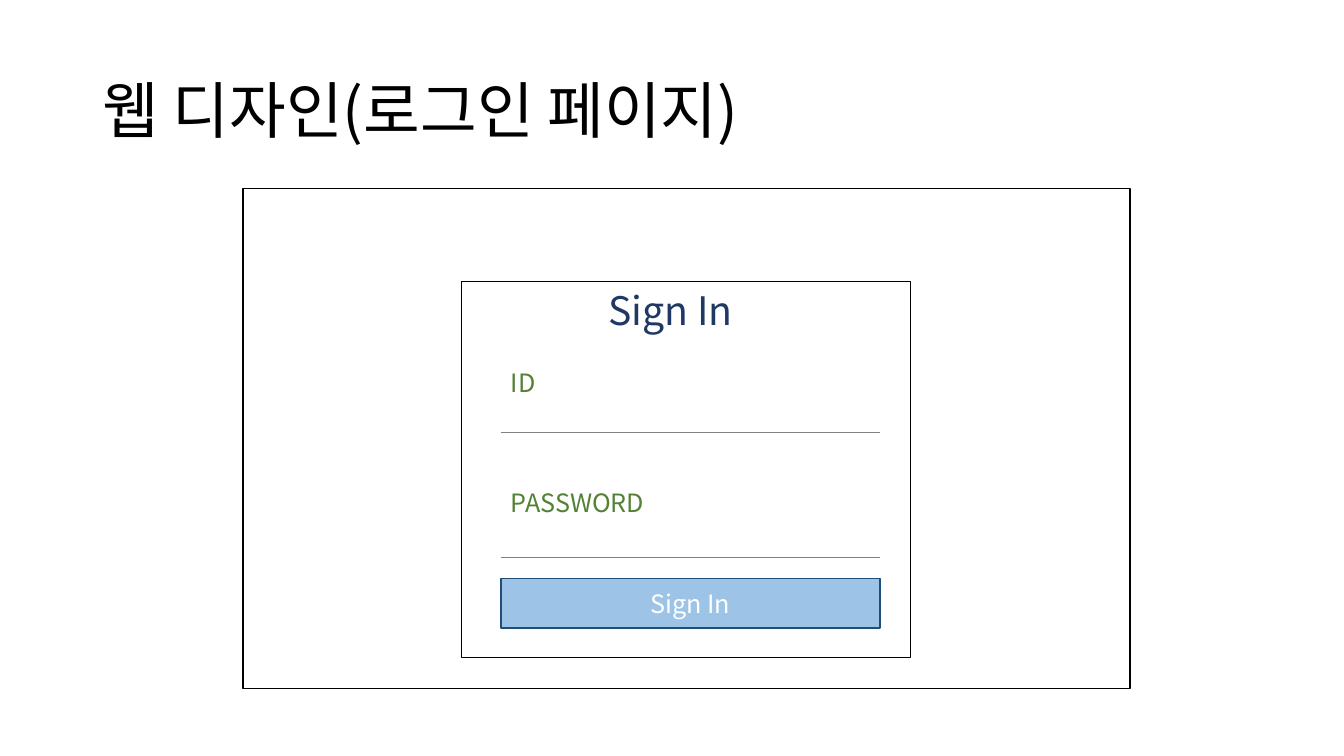
from lxml.etree import SubElement
from pptx import Presentation
from pptx.dml.color import RGBColor
from pptx.enum.shapes import MSO_CONNECTOR, MSO_SHAPE
from pptx.enum.text import MSO_ANCHOR, MSO_AUTO_SIZE, PP_ALIGN
from pptx.oxml.ns import qn
from pptx.util import Pt

FONT = "Noto Sans CJK KR"
BLACK = RGBColor(0x00, 0x00, 0x00)
WHITE = RGBColor(0xFF, 0xFF, 0xFF)
GREEN = RGBColor(0x54, 0x82, 0x35)
NAVY = RGBColor(0x20, 0x38, 0x64)
GRAY = RGBColor(0x80, 0x80, 0x80)
SKY = RGBColor(0x9D, 0xC3, 0xE6)
BLUE = RGBColor(0x1F, 0x4E, 0x79)

deck = Presentation()
deck.slide_width, deck.slide_height = Pt(960), Pt(540)
slide = deck.slides.add_slide(deck.slide_layouts[6])
shapes = slide.shapes


def write(shape, text, size, color):
    line = shape.text_frame.paragraphs[0]
    line.text = text
    run = line.runs[0]
    run.font.size = Pt(size)
    run.font.color.rgb = color
    run.font.name = FONT
    # Hangul takes the East Asian font
    SubElement(run.font._element, qn("a:ea")).set("typeface", FONT)
    return line


def add_box(left, top, width, height, fill, edge):
    box = shapes.add_shape(MSO_SHAPE.RECTANGLE, Pt(left), Pt(top), Pt(width), Pt(height))
    box.shadow.inherit = False
    box.fill.solid()
    box.fill.fore_color.rgb = fill
    box.line.color.rgb = edge
    box.line.width = Pt(1)
    return box


# Title
title = shapes.add_textbox(Pt(66), Pt(28.75), Pt(828), Pt(104.4))
title.text_frame.word_wrap = True
title.text_frame.vertical_anchor = MSO_ANCHOR.MIDDLE
write(title, "웹 디자인(로그인 페이지)", 44, BLACK).line_spacing = 0.9

# Page and login panel
add_box(173.5, 134.6, 633.6, 357.1, WHITE, BLACK)
add_box(329.8, 200.9, 320.4, 268.6, WHITE, BLACK)

# Heading and field labels
left, width = 357.8, 270.7
labels = [
    ("Sign In", 427.7, 200.9, 104.4, 41, 28, NAVY),
    ("ID", left, 258.5, 32.4, 28.8, 18, GREEN),
    ("PASSWORD", left, 344.9, 110.2, 28.8, 18, GREEN),
]
for text, x, y, wide, high, size, color in labels:
    label = shapes.add_textbox(Pt(x), Pt(y), Pt(wide), Pt(high))
    label.text_frame.word_wrap = False
    label.text_frame.auto_size = MSO_AUTO_SIZE.SHAPE_TO_FIT_TEXT
    write(label, text, size, color)

# Field underlines
for y in (308.9, 398.2):
    rule = shapes.add_connector(MSO_CONNECTOR.STRAIGHT, Pt(left), Pt(y), Pt(left + width), Pt(y))
    rule.line.color.rgb = GRAY
    rule.line.width = Pt(0.5)
    SubElement(rule._element.spPr, qn("a:effectLst"))

# Sign-in button
button = add_box(left, 413.3, width, 35.3, SKY, BLUE)
button.text_frame.vertical_anchor = MSO_ANCHOR.MIDDLE
write(button, "Sign In", 18, WHITE).alignment = PP_ALIGN.CENTER

deck.save("out.pptx")
